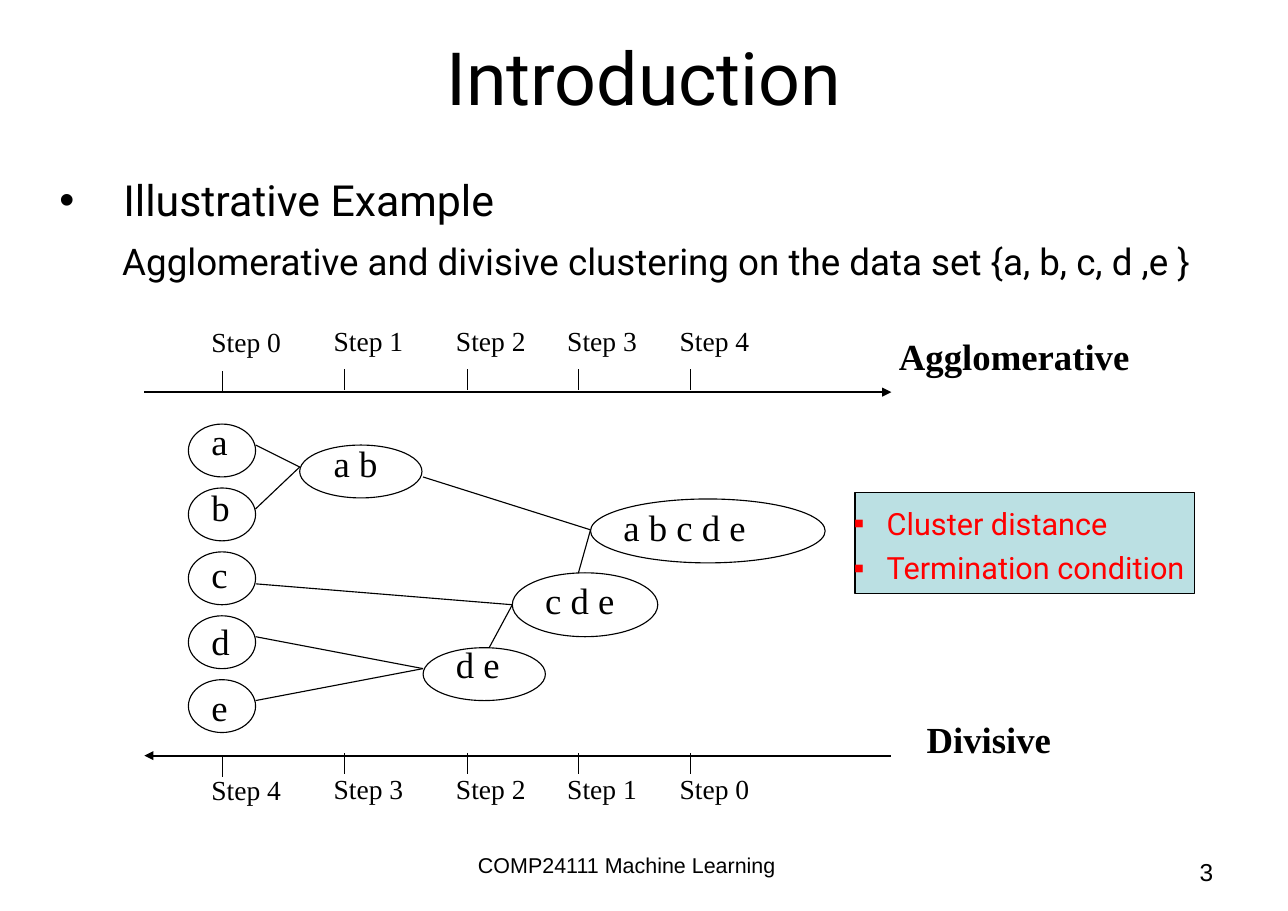
from dataclasses import dataclass

from lxml import etree
from pptx import Presentation
from pptx.dml.color import RGBColor
from pptx.enum.shapes import MSO_CONNECTOR, MSO_SHAPE
from pptx.enum.text import MSO_ANCHOR, PP_ALIGN
from pptx.oxml.ns import qn
from pptx.util import Emu, Pt

PX = 9144  # 100 px to the inch
BLACK = RGBColor(0x00, 0x00, 0x00)
RED = RGBColor(0xFF, 0x00, 0x00)
PALE_TEAL = RGBColor(0xBB, 0xE0, 0xE3)
SANS, SERIF, ARIAL = "Roboto", "Times New Roman", "Arial"
LEFT, CENTER, RIGHT = PP_ALIGN.LEFT, PP_ALIGN.CENTER, PP_ALIGN.RIGHT
MIDDLE = MSO_ANCHOR.MIDDLE
RECT, OVAL = MSO_SHAPE.RECTANGLE, MSO_SHAPE.OVAL
STRAIGHT = MSO_CONNECTOR.STRAIGHT


@dataclass(frozen=True)
class Box:
    left: int
    top: int
    width: int
    height: int

    def emu(self) -> list[Emu]:
        return [Emu(v * PX) for v in (self.left, self.top, self.width, self.height)]


@dataclass(frozen=True)
class Style:
    size: int
    font: str = SERIF
    color: RGBColor = BLACK
    bold: bool = False
    align: PP_ALIGN = LEFT


@dataclass(frozen=True)
class Cluster:
    label: str
    text: Box
    oval: Box


@dataclass(frozen=True)
class Scale:
    axis_y: int
    tick_top: int
    label_top: int
    steps: tuple[int, ...]
    arrow_end: str
    name: str
    name_box: Box


STEP_XS = (202, 313, 424, 525, 627)
SCALES = (
    Scale(356, 335, 289, (0, 1, 2, 3, 4), "tailEnd", "Agglomerative", Box(806, 298, 229, 50)),
    Scale(686, 684, 696, (4, 3, 2, 1, 0), "headEnd", "Divisive", Box(831, 646, 133, 50)),
)
LEAVES = [
    Cluster(name, Box(182, 375 + round(60.5 * i), 36, 50), Box(171, 385 + 58 * i, 61, 48))
    for i, name in enumerate("abcde")
]
MERGED = [
    Cluster("a b", Box(293, 395, 60, 50), Box(272, 404, 111, 48)),
    Cluster("d e", Box(404, 578, 60, 50), Box(384, 588, 111, 48)),
    Cluster("c d e", Box(485, 520, 83, 50), Box(465, 520, 132, 58)),
    Cluster("a b c d e", Box(556, 453, 131, 50), Box(536, 453, 213, 58)),
]
LINKS = (
    (232, 404, 272, 424), (232, 462, 272, 424),
    (232, 578, 384, 607), (232, 636, 384, 607),
    (232, 530, 465, 549), (444, 588, 465, 549),
    (384, 433, 536, 481), (525, 520, 536, 481),
)

prs = Presentation()
prs.slide_width, prs.slide_height = Emu(1169 * PX), Emu(827 * PX)
s = prs.slides.add_slide(prs.slide_layouts[5])


def set_insets(tf, x: int = 10, y: int = 5) -> None:
    tf.margin_left = tf.margin_right = Emu(x * PX)
    tf.margin_top = tf.margin_bottom = Emu(y * PX)


def write(p, text: str, style: Style) -> None:
    p.alignment = style.align
    r = p.add_run()
    r.text = text
    r.font.size, r.font.name, r.font.bold = Pt(style.size), style.font, style.bold
    r.font.color.rgb = style.color


def add_frame(box: Box, wrap: bool = True):
    tf = s.shapes.add_textbox(*box.emu()).text_frame
    tf.word_wrap = wrap
    set_insets(tf)
    return tf


def add_label(box: Box, text: str, style: Style, wrap: bool = False) -> None:
    write(add_frame(box, wrap).paragraphs[0], text, style)


def indent(p, left: int, first: int) -> None:
    pPr = p._p.get_or_add_pPr()
    pPr.set("marL", str(left * PX))
    pPr.set("indent", str(first * PX))


def add_bullet(p, char: str, color: RGBColor) -> None:
    pPr = p._p.get_or_add_pPr()
    clr = etree.SubElement(pPr, qn("a:buClr"))
    etree.SubElement(clr, qn("a:srgbClr"), val=str(color))
    etree.SubElement(pPr, qn("a:buFont"), typeface=ARIAL)
    etree.SubElement(pPr, qn("a:buChar"), char=char)


def add_shape(kind: MSO_SHAPE, box: Box, fill: RGBColor | None = None) -> None:
    sp = s.shapes.add_shape(kind, *box.emu())
    sp.shadow.inherit = False
    if fill is None:
        sp.fill.background()
    else:
        sp.fill.solid()
        sp.fill.fore_color.rgb = fill
    sp.line.color.rgb, sp.line.width = BLACK, Pt(0.75)


def add_line(x1: int, y1: int, x2: int, y2: int, width: float = 0.75, arrow: str = "") -> None:
    cx = s.shapes.add_connector(STRAIGHT, *(Emu(v * PX) for v in (x1, y1, x2, y2)))
    cx.line.color.rgb, cx.line.width = BLACK, Pt(width)
    if arrow:
        etree.SubElement(cx.line._get_or_add_ln(), qn("a:" + arrow), type="triangle")
    etree.SubElement(cx._element.spPr, qn("a:effectLst"))


# Footer and page number
add_label(Box(301, 769, 536, 57), "COMP24111 Machine Learning", Style(14, ARIAL, align=CENTER), True)
add_label(Box(838, 773, 273, 57), "3", Style(16, ARIAL, align=RIGHT), True)

# Title, centred a little left of the slide's middle
title = s.shapes.title
title.left, title.top, title.width, title.height = Box(43, 0, 1126, 138).emu()
tf = title.text_frame
tf.word_wrap, tf.vertical_anchor = True, MIDDLE
set_insets(tf, 11, 6)
tf.margin_right = Emu(54 * PX)
write(tf.paragraphs[0], "Introduction", Style(48, SANS, align=CENTER))

# Body text
tf = add_frame(Box(43, 147, 1093, 625))
set_insets(tf, 11, 6)
heading, detail = tf.paragraphs[0], tf.add_paragraph()
heading.line_spacing = detail.line_spacing = 1.1
heading.space_before, detail.space_before = Pt(7), Pt(6)
indent(heading, 58, -58)
add_bullet(heading, "•", BLACK)
write(heading, "Illustrative Example", Style(28, SANS))
detail.level = 1
indent(detail, 107, -50)
write(detail, "Agglomerative and divisive clustering on the data set {a, b, c, d ,e }", Style(24, SANS))

# Callout
add_shape(RECT, Box(776, 447, 308, 92), PALE_TEAL)
tf = add_frame(Box(765, 447, 330, 90), wrap=False)
for i, text in enumerate(("Cluster distance", "Termination condition")):
    p = tf.add_paragraph() if i else tf.paragraphs[0]
    p.line_spacing = 1.2
    indent(p, 30, -30)
    add_bullet(p, "▪", RED)
    write(p, text, Style(20, SANS, RED))

# Step scales; the first step sits slightly lower
for scale in SCALES:
    add_line(131, scale.axis_y, 809, scale.axis_y, 1.5, scale.arrow_end)
    for i, (x, step) in enumerate(zip(STEP_XS, scale.steps)):
        drop = 0 if i else 2
        add_line(x, scale.tick_top + drop, x, scale.tick_top + drop + 19)
        add_label(Box(x - 20, scale.label_top + drop // 2, 101, 40), f"Step {step}", Style(18), True)
    add_label(scale.name_box, scale.name, Style(24, bold=True, align=CENTER))

# Clusters and links
for cluster in LEAVES + MERGED:
    add_label(cluster.text, cluster.label, Style(24))
    add_shape(OVAL, cluster.oval)
for link in LINKS:
    add_line(*link)

prs.save("out.pptx")
